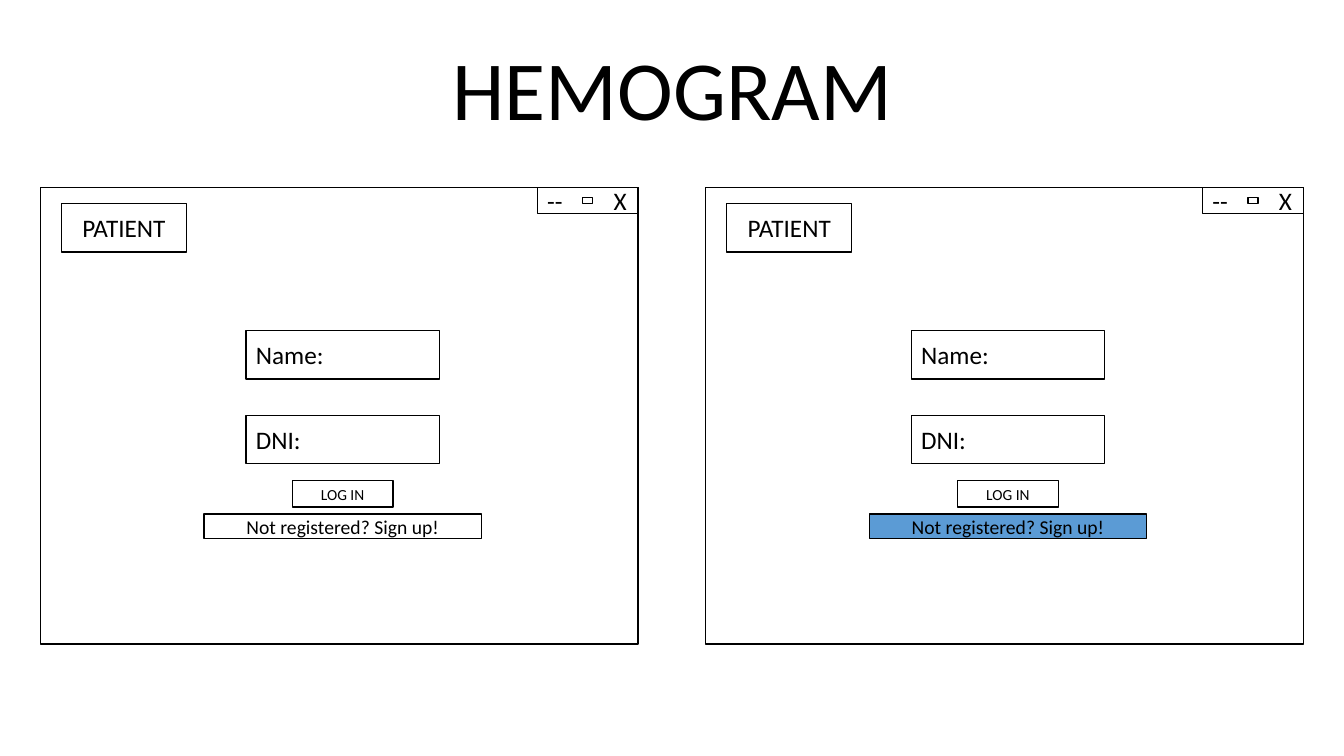
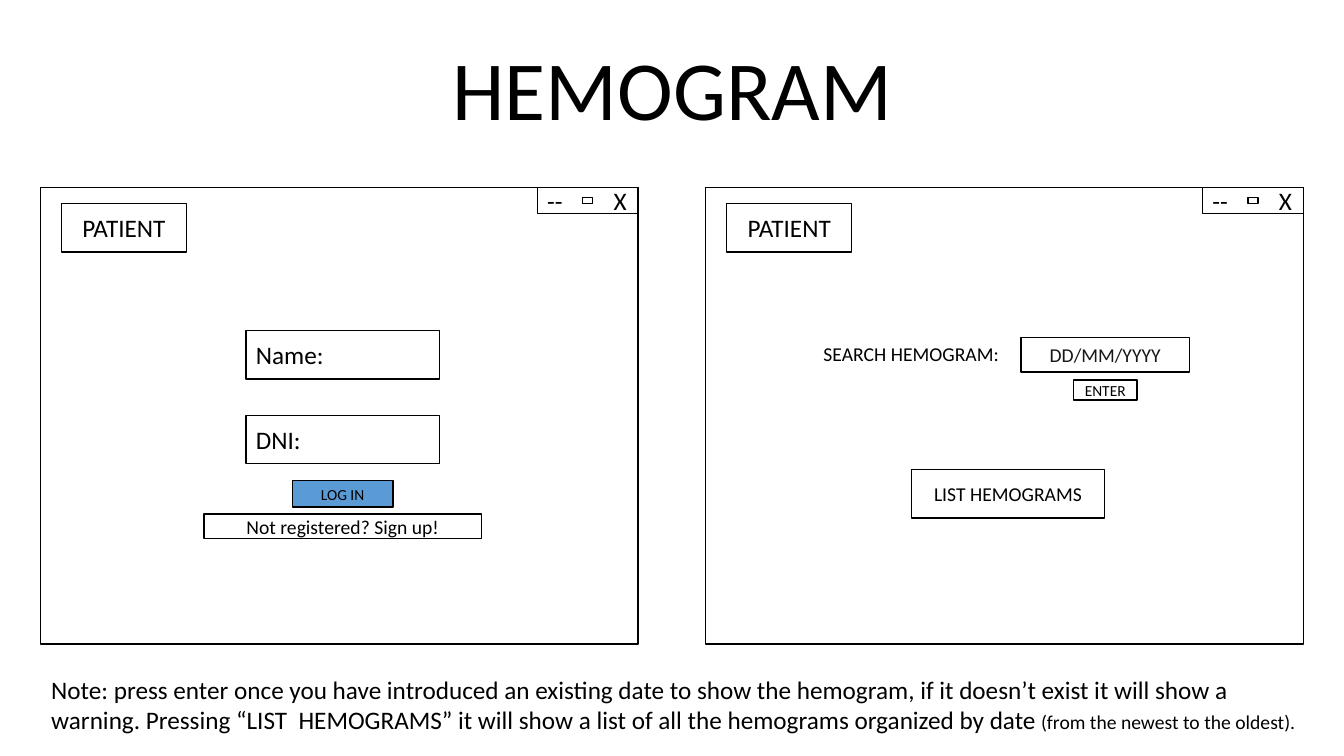
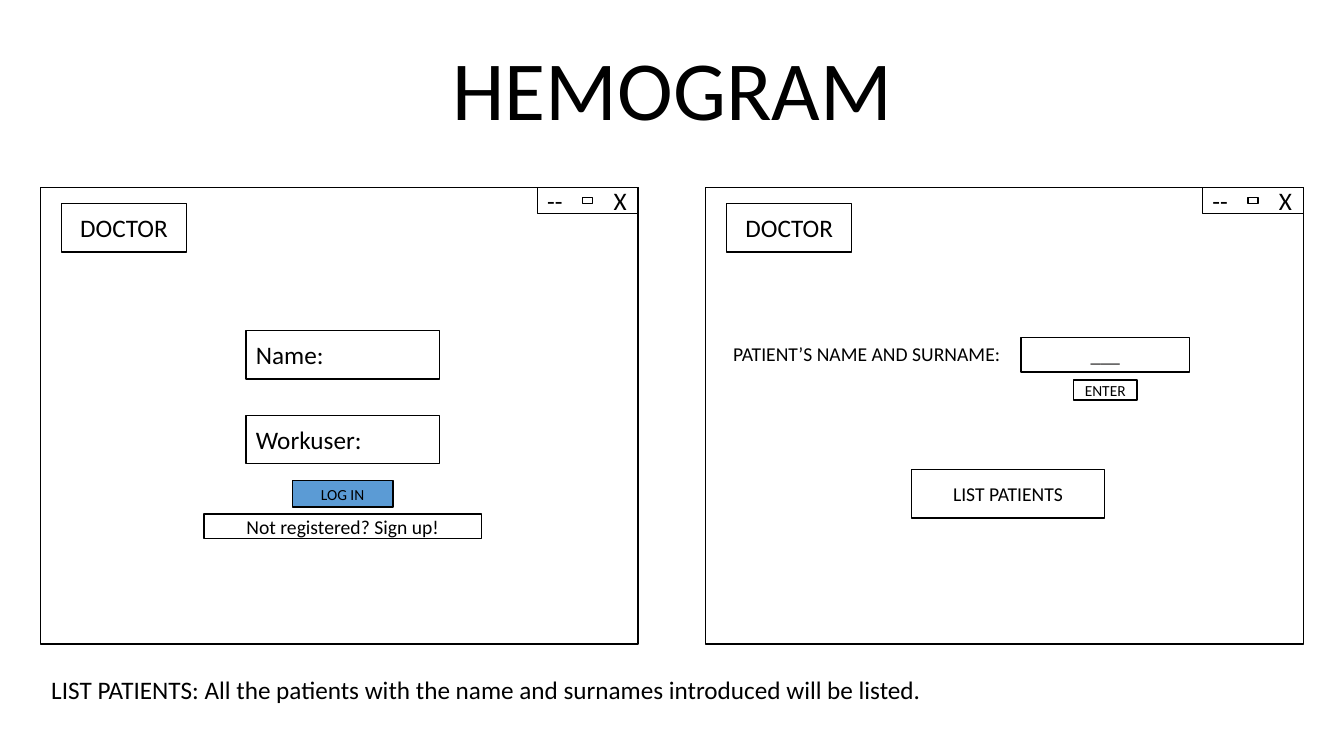
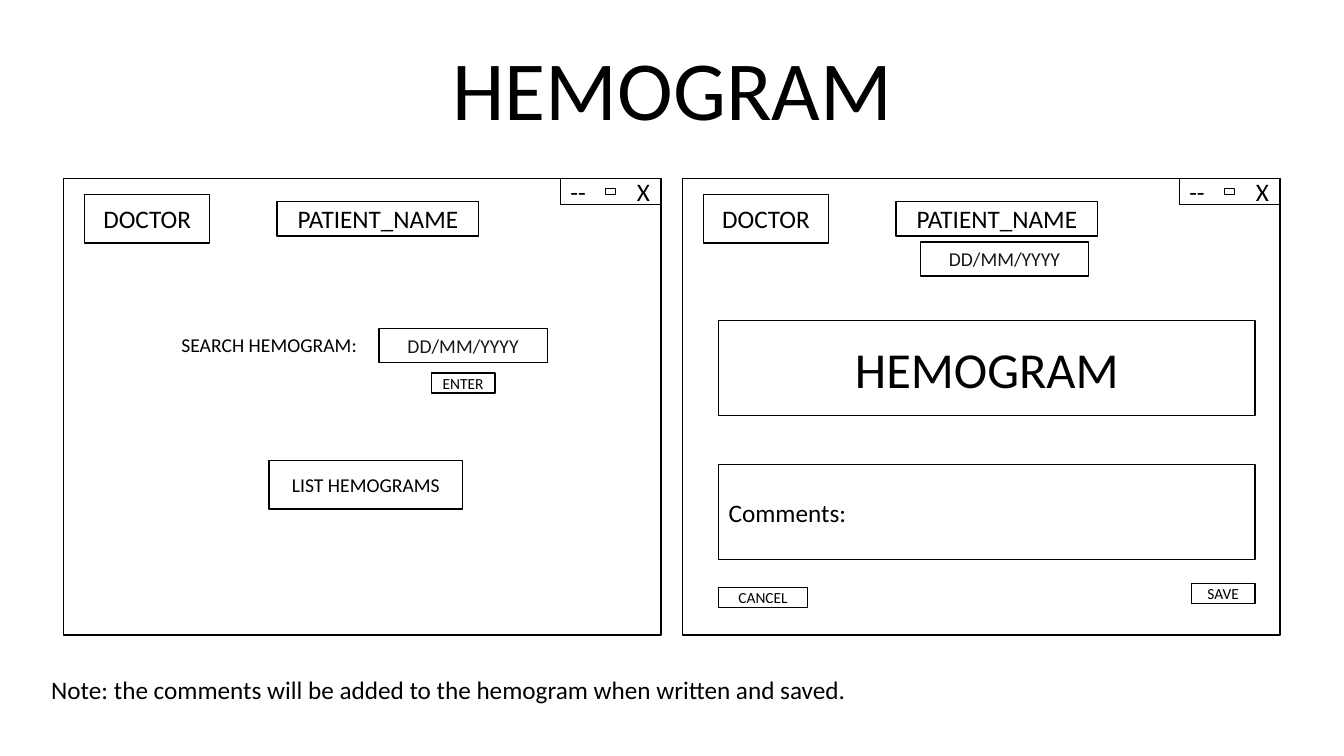
from lxml.etree import SubElement
from pptx import Presentation
from pptx.dml.color import RGBColor
from pptx.enum.shapes import MSO_SHAPE as Preset
from pptx.enum.text import MSO_ANCHOR as Anchor, MSO_AUTO_SIZE as AutoSize, PP_ALIGN as Align
from pptx.oxml.ns import qn
from pptx.util import Inches, Pt

BLACK = RGBColor(0x00, 0x00, 0x00)
INK = RGBColor(0x18, 0x17, 0x17)
WHITE = RGBColor(0xFF, 0xFF, 0xFF)
BLUE = RGBColor(0x5B, 0x9B, 0xD5)
FONT = "Calibri"
UNIT = Inches(0.1)
COLUMNS, ROWS = 133.33, 75
WINDOW_WIDTH, WINDOW_HEIGHT = 59.3, 45.3
CENTRE = 30
LEFT, RIGHT = (4, 18.6), (70, 18.6)
HIGH_LEFT, HIGH_RIGHT = (6.3, 17.7), (67.7, 17.7)


def grid(*lengths):
    return [round(length * UNIT) for length in lengths]


class Mockup:
    def __init__(self):
        self.deck = Presentation()
        self.deck.slide_width, self.deck.slide_height = grid(COLUMNS, ROWS)
        self.page = self.canvas = None
        self.origin = (0, 0)

    def style(self, font, size, color=BLACK):
        font.name, font.size, font.color.rgb = FONT, Pt(size), color

    def start(self, title):
        self.page = self.deck.slides.add_slide(self.deck.slide_layouts[5])
        box = self.page.shapes.title
        box.left, box.top, box.width, box.height = grid(16.7, 2.4, 100, 11.9)
        frame = box.text_frame
        frame.text = title
        frame.auto_size, frame.vertical_anchor = AutoSize.NONE, Anchor.BOTTOM
        para = frame.paragraphs[0]
        para.alignment, para.line_spacing = Align.CENTER, 0.9
        self.style(para.font, 60)

    def box(self, left, top, width, height, text="", size=18, align=Align.CENTER,
            fill=WHITE, line=BLACK, color=BLACK):
        x, y = self.origin
        box = self.canvas.add_shape(Preset.RECTANGLE, *grid(x + left, y + top, width, height))
        box.shadow.inherit = False
        box.fill.solid()
        box.fill.fore_color.rgb = fill
        box.line.color.rgb, box.line.width = line, Pt(1)
        if text:
            frame = box.text_frame
            frame.text, frame.word_wrap = text, True
            frame.vertical_anchor = Anchor.MIDDLE
            para = frame.paragraphs[0]
            para.alignment = align
            self.style(para.font, size, color)
        return box

    def centred(self, top, width, height, text, size=18, **look):
        return self.box(CENTRE - width / 2, top, width, height, text, size, **look)

    def window(self, origin, role):
        self.origin = origin
        self.canvas = self.page.shapes.add_group_shape().shapes
        self.box(0, 0, WINDOW_WIDTH, WINDOW_HEIGHT)
        controls = self.box(WINDOW_WIDTH - 10, 0, 10, 2.6, "--\tX", align=Align.LEFT)
        controls.text_frame.margin_right = 0
        properties = controls.text_frame.paragraphs[0]._p.get_or_add_pPr()
        tabs = SubElement(properties, qn("a:tabLst"))
        SubElement(tabs, qn("a:tab"), pos=str(Inches(0.66)), algn="l")
        properties.insert(0, tabs)
        self.box(WINDOW_WIDTH - 5.5, 1, 1, 0.6)
        self.box(2.1, 1.6, 12.4, 4.8, role)

    def login(self, origin, role, key, login_fill=WHITE, signup_fill=WHITE):
        self.window(origin, role)
        for top, label in ((14.2, "Name:"), (22.6, key)):
            self.centred(top, 19.2, 4.8, label, align=Align.LEFT)
        self.centred(29.1, 10, 2.6, "LOG IN", 11, fill=login_fill)
        self.centred(32.4, 27.5, 2.4, "Not registered? Sign up!", 14, fill=signup_fill)

    def field(self, left, top, text):
        self.box(left, top, 16.7, 3.4, text, 14, color=INK)

    def button(self, left, top, text, width=6.3):
        self.box(left, top, width, 2, text, 11)

    def search(self, origin, role, label, span, hint, listing, enter_top=19.1):
        self.window(origin, role)
        left, width = span
        self.box(left, 14.1, width, 4.8, label, 14, line=WHITE)
        self.centred(28, 19.2, 4.8, listing, 14)
        self.field(31.3, 14.9, hint)
        self.button(36.5, enter_top, "ENTER")

    def patient(self):
        self.box(21.2, 2.3, 20, 3.4, "PATIENT_NAME")

    def record(self, origin, role):
        self.window(origin, role)
        self.patient()
        self.field(23.6, 6.3, "DD/MM/YYYY")
        self.box(3.6, 14.1, 53.2, 9.4, "HEMOGRAM", 36)
        self.box(3.6, 28.4, 53.2, 9.4, "Comments:", align=Align.LEFT)
        self.button(50.5, 40.2, "SAVE")
        self.button(3.6, 40.6, "CANCEL", 8.8)

    def note(self, *parts, height=4):
        box = self.page.shapes.add_textbox(*grid(4.1, 66.4, 126.2, height))
        frame = box.text_frame
        frame.word_wrap, frame.auto_size = True, AutoSize.SHAPE_TO_FIT_TEXT
        para = frame.paragraphs[0]
        for text, size in parts:
            span = para.add_run()
            span.text = text
            self.style(span.font, size)


def main():
    mockup = Mockup()
    hemogram_search = ("SEARCH HEMOGRAM:", (7.8, 25.2), "DD/MM/YYYY", "LIST HEMOGRAMS")
    patient_search = ("PATIENT’S NAME AND SURNAME:", (0.5, 31), "___", "LIST PATIENTS")

    mockup.start("HEMOGRAM")
    mockup.login(LEFT, "PATIENT", "DNI:")
    mockup.login(RIGHT, "PATIENT", "DNI:", signup_fill=BLUE)

    mockup.start("HEMOGRAM")
    mockup.login(LEFT, "PATIENT", "DNI:", login_fill=BLUE)
    mockup.search(RIGHT, "PATIENT", *hemogram_search)
    mockup.note(
        ("Note: press enter once you have introduced an existing date to show the hemogram, "
         "if it doesn’t exist it will show a warning. Pressing “LIST  HEMOGRAMS” it will show "
         "a list of all the hemograms organized by date", 18),
        (" (from the newest to the oldest).", 14), height=7.1)

    mockup.start("HEMOGRAM")
    mockup.login(LEFT, "DOCTOR", "Workuser:", login_fill=BLUE)
    mockup.search(RIGHT, "DOCTOR", *patient_search)
    mockup.note(("LIST PATIENTS: All the patients with the name and surnames introduced "
                 "will be listed.", 18))

    mockup.start("HEMOGRAM")
    mockup.search(HIGH_LEFT, "DOCTOR", *hemogram_search, enter_top=19.3)
    mockup.patient()
    mockup.record(HIGH_RIGHT, "DOCTOR")
    mockup.note(("Note: the comments will be added to the hemogram when written and saved.", 18))

    mockup.deck.save("out.pptx")


if __name__ == "__main__":
    main()
